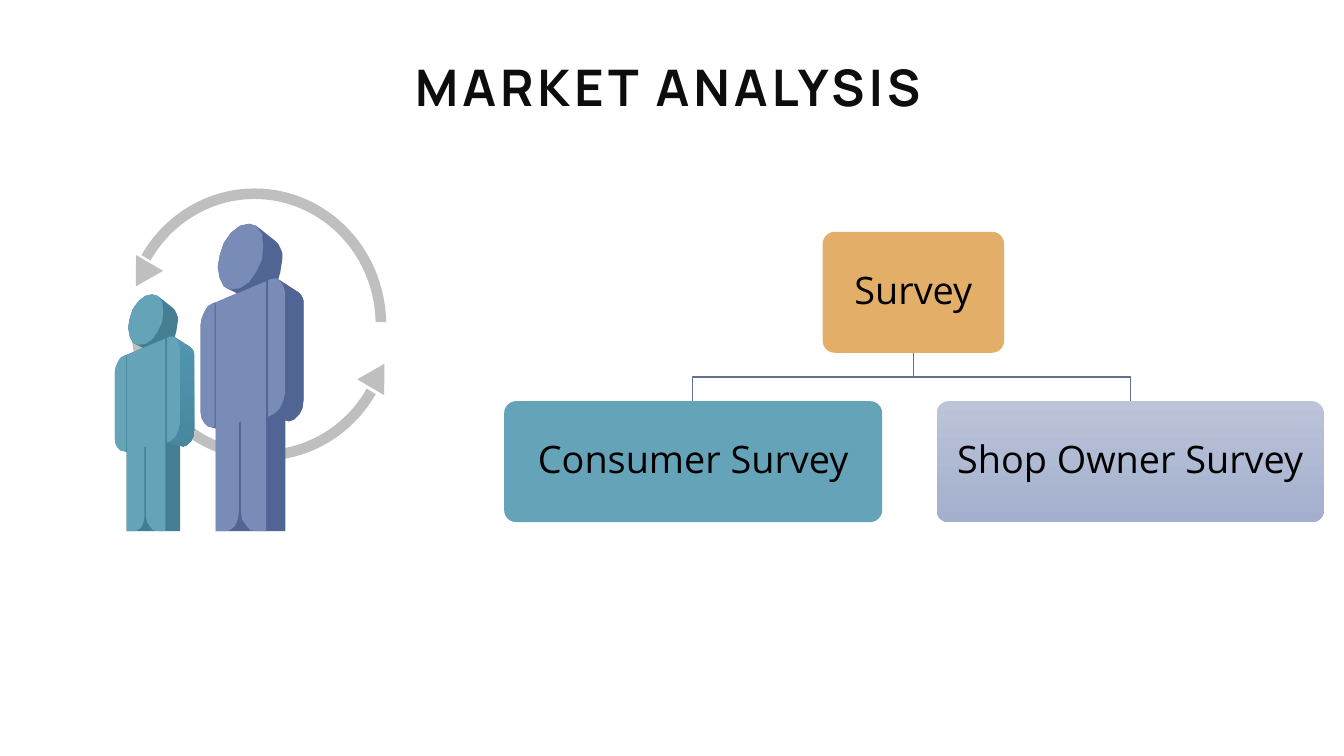
from dataclasses import dataclass

from pptx import Presentation
from pptx import util as u
from pptx.dml.color import RGBColor
from pptx.enum import shapes, text

PX = 9144  # EMU per px, 100 px to the inch

INK = RGBColor(0x0D, 0x0D, 0x0D)
BLACK = RGBColor(0x00, 0x00, 0x00)
GREY = RGBColor(0xBF, 0xBF, 0xBF)
LINE = RGBColor(0x61, 0x70, 0x93)
ORANGE = RGBColor(0xE2, 0xAE, 0x68)
TEAL = RGBColor(0x65, 0xA3, 0xB9)
TEAL_DARK = RGBColor(0x43, 0x7E, 0x93)
TEAL_SIDE_TOP = RGBColor(0x51, 0x97, 0xB0)
TEAL_SIDE_END = RGBColor(0x48, 0x87, 0x9D)
BLUE = RGBColor(0x79, 0x8C, 0xB7)
BLUE_DARK = RGBColor(0x50, 0x65, 0x94)
PALE_TOP = RGBColor(0xBC, 0xC4, 0xD9)
PALE_END = RGBColor(0xA3, 0xAF, 0xCD)

Points = list[tuple[int, int]]

# Parts of a figure, in px from its top left corner at full size
HEAD_LEFT: Points = [(23, 62), (19, 54), (17, 43), (19, 31), (23, 19),
                     (30, 9), (39, 2), (48, 0), (55, 2)]
SIDE_EDGE: Points = [(83, 59), (97, 68), (99, 70), (101, 73), (102, 76),
                     (102, 80), (102, 175), (101, 183), (98, 189), (93, 194), (88, 196)]
SILHOUETTE: Points = [
    (4, 87), (7, 82), (12, 79), (15, 78), (36, 69), (26, 64), *HEAD_LEFT,
    (74, 17), (77, 20), (79, 24), (81, 29), (81, 35), (79, 48), (77, 55),
    *SIDE_EDGE, (84, 195), (84, 305), (15, 305), (15, 203), (7, 201),
    (4, 198), (1, 193), (0, 187), (0, 100), (1, 94)]
LEFT_ARM: Points = [
    (0, 100), (0, 187), (1, 193), (4, 198), (7, 201), (12, 202), (14, 201),
    (14, 78), (12, 79), (7, 82), (4, 87), (1, 94)]
HEAD: Points = [(55, 48), (48, 58), (39, 64), (30, 65), *HEAD_LEFT,
                (61, 10), (62, 22), (61, 35)]
BODY: Points = [
    (65, 305), (55, 305), (49, 304), (45, 299), (41, 293), (40, 285), (40, 196),
    (38, 197), (38, 285), (37, 293), (34, 300), (29, 304), (24, 305), (15, 305),
    (15, 78), (65, 57)]
RIGHT_ARM: Points = [
    (74, 54), (79, 56), (82, 61), (84, 68), (84, 168), (82, 176), (79, 183),
    (74, 188), (69, 191), (67, 191), (67, 56), (69, 55)]
SIDE: Points = [
    (74, 188), (79, 183), (82, 176), (84, 168), (84, 68), (83, 64), (82, 61),
    (80, 58), (78, 56), *SIDE_EDGE, (69, 191)]


@dataclass(frozen=True)
class Gradient:
    start: RGBColor
    end: RGBColor
    angle: int  # clockwise from left to right


Paint = RGBColor | Gradient


@dataclass(frozen=True)
class Figure:
    left: int
    top: int
    size: float
    front: RGBColor
    back: RGBColor
    side: Paint


@dataclass(frozen=True)
class CycleArrow:
    arc_left: int
    arc_turn: float
    head_left: int
    head_top: int
    head_turn: float


@dataclass(frozen=True)
class SurveyBox:
    label: str
    left: int
    top: int
    width: int
    paint: Paint

    @property
    def center(self) -> int:
        return self.left + self.width // 2


BOX_HEIGHT = 120
SURVEY = SurveyBox("Survey", 816, 230, 180, ORANGE)
BRANCHES = [
    SurveyBox("Consumer Survey", 500, 398, 375, TEAL),
    SurveyBox("Shop Owner Survey", 929, 398, 384, Gradient(PALE_TOP, PALE_END, 90)),
]
CYCLE = [
    (CycleArrow(130, 180, 359, 359, 30.4),
     Figure(114, 292, 0.77, TEAL, TEAL_DARK, Gradient(TEAL_SIDE_TOP, TEAL_SIDE_END, 70))),
    (CycleArrow(122, 0, 126, 259, 210.4),
     Figure(199, 222, 1, BLUE, BLUE_DARK, BLUE_DARK)),
]


def apply_paint(shape, paint: Paint) -> None:
    shape.shadow.inherit = False
    shape.line.fill.background()
    if isinstance(paint, Gradient):
        shape.fill.gradient()
        shape.fill.gradient_angle = 360 - paint.angle
        for stop, color in zip(shape.fill.gradient_stops, (paint.start, paint.end)):
            stop.color.rgb = color
    else:
        shape.fill.solid()
        shape.fill.fore_color.rgb = paint


def add_preset(page, kind, left: int, top: int, width: int, height: int, paint: Paint):
    shape = page.shapes.add_shape(kind, left * PX, top * PX, width * PX, height * PX)
    apply_paint(shape, paint)
    return shape


def add_outline(page, figure: Figure, contours: list[Points], paint: Paint) -> None:
    first, *others = contours
    builder = page.shapes.build_freeform(*first[0], scale=PX * figure.size)
    builder.add_line_segments(first[1:], close=True)
    for contour in others:
        builder.move_to(*contour[0])
        builder.add_line_segments(contour[1:], close=True)
    apply_paint(builder.convert_to_shape(figure.left * PX, figure.top * PX), paint)


def add_figure(page, figure: Figure) -> None:
    add_outline(page, figure, [SILHOUETTE], figure.back)
    add_outline(page, figure, [LEFT_ARM, HEAD, BODY, RIGHT_ARM], figure.front)
    add_outline(page, figure, [SIDE], figure.side)


def add_cycle_arrow(page, arrow: CycleArrow) -> None:
    arc = add_preset(page, shapes.MSO_SHAPE.BLOCK_ARC, arrow.arc_left, 187, 261, 270, GREY)
    for index, value in enumerate((126.95, 215.35, 0.04)):
        arc.adjustments[index] = value
    arc.rotation = arrow.arc_turn
    head = add_preset(page, shapes.MSO_SHAPE.ISOSCELES_TRIANGLE,
                      arrow.head_left, arrow.head_top, 31, 27, GREY)
    head.rotation = arrow.head_turn


def add_label(frame, label: str, font: str, size: int, color: RGBColor):
    para = frame.paragraphs[0]
    para.alignment = text.PP_ALIGN.CENTER
    span = para.add_run()
    span.text = label
    span.font.name = font
    span.font.size = u.Pt(size)
    span.font.color.rgb = color
    return span


def add_title(page) -> None:
    box = page.shapes.add_textbox(258 * PX, 51 * PX, 809 * PX, 71 * PX)
    box.text_frame.word_wrap = True
    span = add_label(box.text_frame, "MARKET ANALYSIS", "Manrope", 36, INK)
    span.font.bold = True
    span._r.get_or_add_rPr().set("spc", "300")


def add_survey_box(page, survey: SurveyBox) -> None:
    box = add_preset(page, shapes.MSO_SHAPE.ROUNDED_RECTANGLE, survey.left, survey.top,
                     survey.width, BOX_HEIGHT, survey.paint)
    box.adjustments[0] = 0.1
    frame = box.text_frame
    frame.word_wrap = True
    frame.vertical_anchor = text.MSO_ANCHOR.MIDDLE
    frame.margin_left = frame.margin_right = 15 * PX
    frame.margin_top = frame.margin_bottom = 15 * PX
    add_label(frame, survey.label, "Open Sans", 27, BLACK)
    frame.paragraphs[0].line_spacing = 0.9


def add_branch_line(page, parent: SurveyBox, child: SurveyBox) -> None:
    bottom = parent.top + BOX_HEIGHT
    middle = (bottom + child.top) // 2
    builder = page.shapes.build_freeform(parent.center, bottom, scale=PX)
    builder.add_line_segments([(parent.center, middle), (child.center, middle),
                               (child.center, child.top)], close=False)
    branch = builder.convert_to_shape()
    branch.shadow.inherit = False
    branch.fill.background()
    branch.line.color.rgb = LINE
    branch.line.width = u.Pt(1)


def main() -> None:
    deck = Presentation()
    deck.slide_width, deck.slide_height = 1333 * PX, 750 * PX
    page = deck.slides.add_slide(deck.slide_layouts[6])
    for arrow, figure in CYCLE:
        add_cycle_arrow(page, arrow)
        add_figure(page, figure)
    add_title(page)
    add_survey_box(page, SURVEY)
    for branch in BRANCHES:
        add_branch_line(page, SURVEY, branch)
        add_survey_box(page, branch)
    deck.save("out.pptx")


if __name__ == "__main__":
    main()
